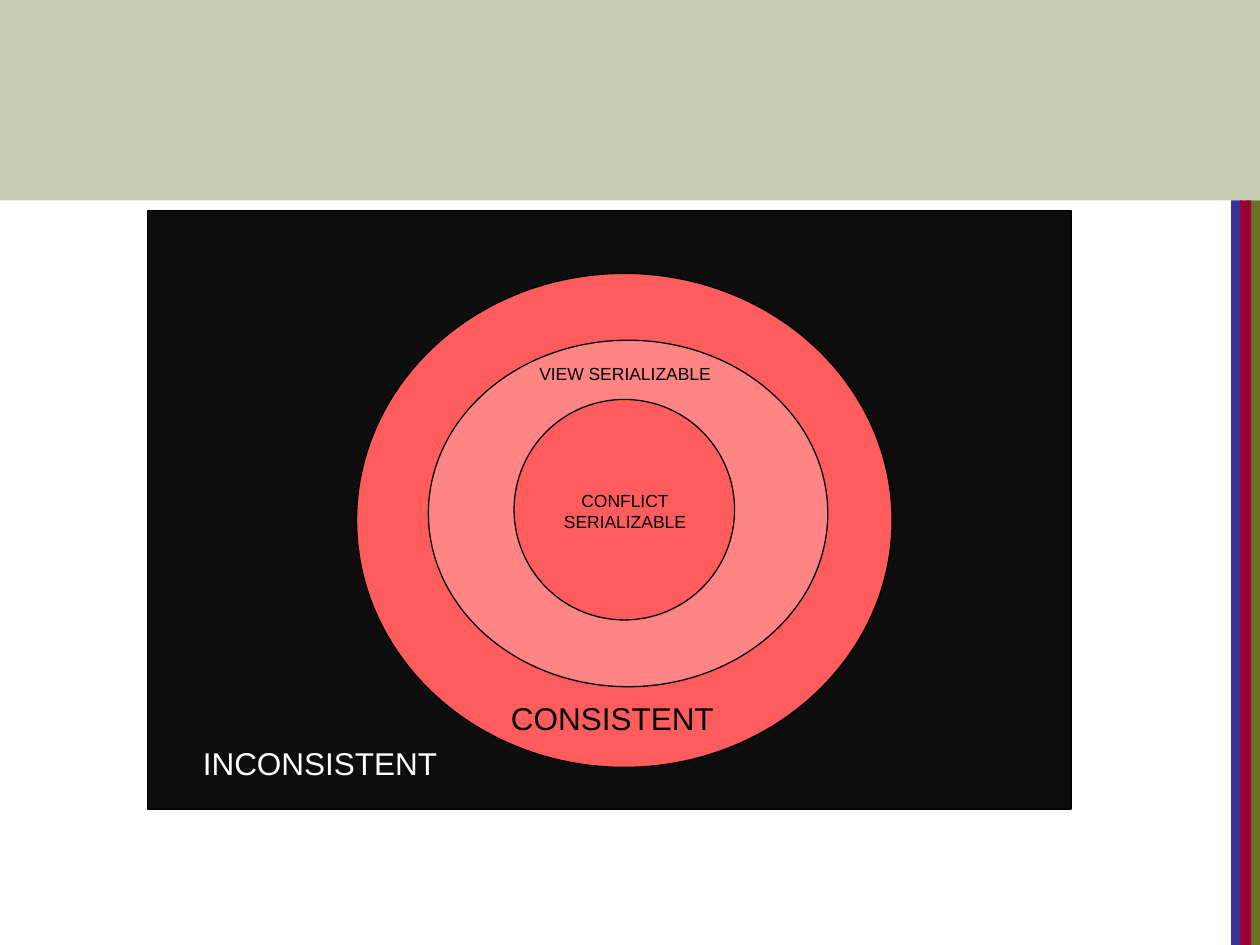
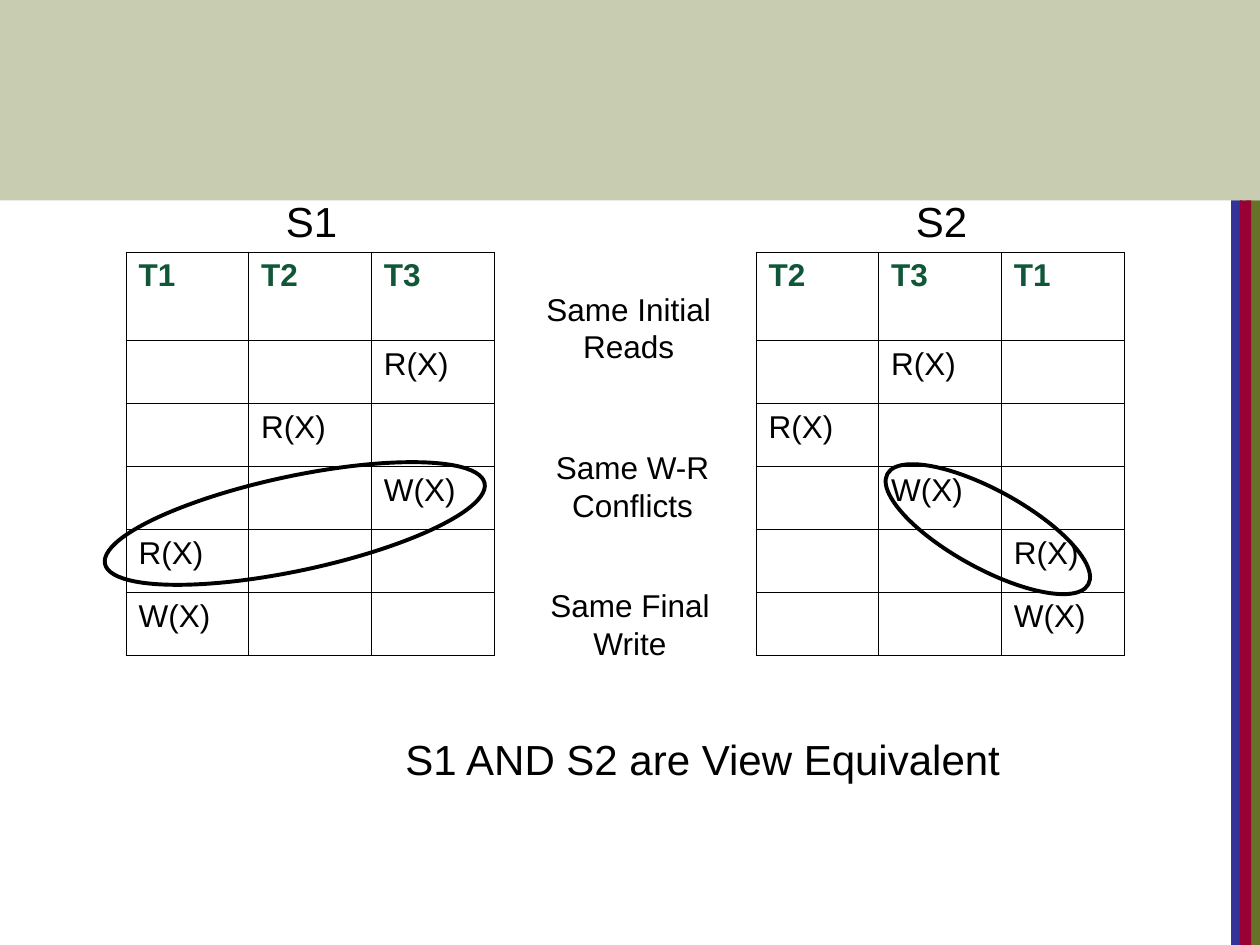
from lxml import etree
from pptx import Presentation
from pptx import util as u
from pptx.dml.color import RGBColor
from pptx.enum import shapes, text
from pptx.oxml import ns

COLORS = {
    "olive": "677228", "blue": "333399", "crimson": "990033",
    "white": "FFFFFF", "black": "000000", "night": "0D0D0D",
    "coral": "FF5D5D", "pink": "FF8585", "green": "105638",
}
FONT = "Arial"
RECTANGLE = shapes.MSO_SHAPE.RECTANGLE
ELLIPSE = shapes.MSO_SHAPE.OVAL
OPERATIONS = [("T3", "R(X)"), ("T2", "R(X)"), ("T3", "W(X)"),
              ("T1", "R(X)"), ("T1", "W(X)")]


def color(name):
    return RGBColor.from_string(COLORS[name])


def write(frame, content, size=18, tint="black", bold=False, centered=False):
    for index, line in enumerate(content.split("\n")):
        para = frame.paragraphs[0] if index == 0 else frame.add_paragraph()
        para.alignment = text.PP_ALIGN.CENTER if centered else text.PP_ALIGN.LEFT
        span = para.add_run()
        span.text = line
        span.font.name = FONT
        span.font.size = u.Pt(size)
        span.font.bold = bold
        span.font.color.rgb = color(tint)


class Painter:
    def __init__(self):
        self.deck = Presentation()
        self.deck.slide_width = u.Inches(10)
        self.deck.slide_height = u.Inches(7.5)
        self.page = None

    def new_page(self):
        self.page = self.deck.slides.add_slide(self.deck.slide_layouts[6])
        for left, width, fill in ((9.89, 0.11, "olive"), (9.77, 0.09, "blue"),
                                  (9.84, 0.09, "crimson")):
            self.shape(RECTANGLE, left, 1.59, width, 5.91, fill=fill)
        self.shape(RECTANGLE, 0, 0, 10, 1.59, fill="olive", opacity=36)

    def shape(self, kind, left, top, width, height, fill=None, line=None,
              weight=0.75, rotation=0, opacity=100):
        box = self.page.shapes.add_shape(
            kind, u.Inches(left), u.Inches(top), u.Inches(width), u.Inches(height))
        box.shadow.inherit = False
        box.rotation = rotation
        if fill:
            box.fill.solid()
            box.fill.fore_color.rgb = color(fill)
        else:
            box.fill.background()
        if opacity < 100:
            tone = box.fill._xPr.find(".//" + ns.qn("a:srgbClr"))
            etree.SubElement(tone, ns.qn("a:alpha"), val=str(opacity * 1000))
        if line:
            box.line.color.rgb = color(line)
            box.line.width = u.Pt(weight)
        else:
            box.line.fill.background()

    def label(self, content, left, top, width, height, wrap=True, **style):
        box = self.page.shapes.add_textbox(
            u.Inches(left), u.Inches(top), u.Inches(width), u.Inches(height))
        box.text_frame.word_wrap = wrap
        write(box.text_frame, content, **style)

    def border(self, cell):
        properties = cell._tc.get_or_add_tcPr()
        for side in ("lnL", "lnR", "lnT", "lnB"):
            edge = etree.SubElement(properties, ns.qn("a:" + side), w=str(u.Pt(0.45)))
            paint = etree.SubElement(edge, ns.qn("a:solidFill"))
            etree.SubElement(paint, ns.qn("a:srgbClr"), val=COLORS["black"])

    def schedule(self, name, left, transactions):
        rows = [transactions] + [
            [operation if column == owner else "" for column in transactions]
            for owner, operation in OPERATIONS]
        table = self.page.shapes.add_table(
            len(rows), len(transactions), u.Inches(left), u.Inches(2),
            u.Inches(2.92), u.Inches(3.2)).table
        table.first_row = False
        table.horz_banding = False
        for column in table.columns:
            column.width = u.Inches(2.92 / len(transactions))
        for index, values in enumerate(rows):
            header = index == 0
            table.rows[index].height = u.Inches(0.7 if header else 0.5)
            for cell, value in zip(table.rows[index].cells, values):
                self.border(cell)
                cell.fill.solid()
                cell.fill.fore_color.rgb = color("white")
                if value:
                    write(cell.text_frame, value, bold=header,
                          tint="green" if header else "black")
        self.label(name, left + 1.17, 1.5, 1.17, 0.5, size=24)


def serializability_classes(painter):
    painter.new_page()
    painter.shape(RECTANGLE, 1.17, 1.67, 7.33, 4.75, fill="night", line="black")
    for left, top, width, height, fill in (
            (2.83, 2.17, 4.25, 3.92, "coral"),
            (3.4, 2.7, 3.17, 2.75, "pink"),
            (4.08, 3.17, 1.75, 1.75, "coral")):
        painter.shape(ELLIPSE, left, top, width, height, fill=fill, line="black")
    for content, left, top, height, size, tint in (
            ("INCONSISTENT", 0.83, 5.86, 0.4, 18, "white"),
            ("CONSISTENT", 3.15, 5.5, 0.4, 18, "black"),
            ("VIEW SERIALIZABLE", 3.25, 2.83, 0.27, 10, "black"),
            ("CONFLICT\nSERIALIZABLE", 3.25, 3.84, 0.44, 10, "black")):
        painter.label(content, left, top, 3.42, height, size=size, tint=tint,
                      centered=True)


def view_equivalence(painter):
    painter.new_page()
    painter.schedule("S1", 1, ["T1", "T2", "T3"])
    painter.schedule("S2", 6, ["T2", "T3", "T1"])
    painter.shape(ELLIPSE, 0.8, 3.78, 3.08, 0.75, line="black", weight=2.25,
                  rotation=348)
    painter.shape(ELLIPSE, 6.93, 3.89, 1.82, 0.62, line="black", weight=2.25,
                  rotation=28.8)
    painter.label("S1 AND S2 are View Equivalent", 3.12, 5.77, 4.94, 0.5,
                  wrap=False, size=24)
    for content, left, top in (("Same Initial Reads", 4.07, 2.25),
                               ("Same W-R Conflicts", 4.1, 3.51),
                               ("Same Final Write", 4.08, 4.6)):
        painter.label(content, left, top, 1.84, 0.7, centered=True)


def main():
    painter = Painter()
    serializability_classes(painter)
    view_equivalence(painter)
    painter.deck.save("out.pptx")


if __name__ == "__main__":
    main()
